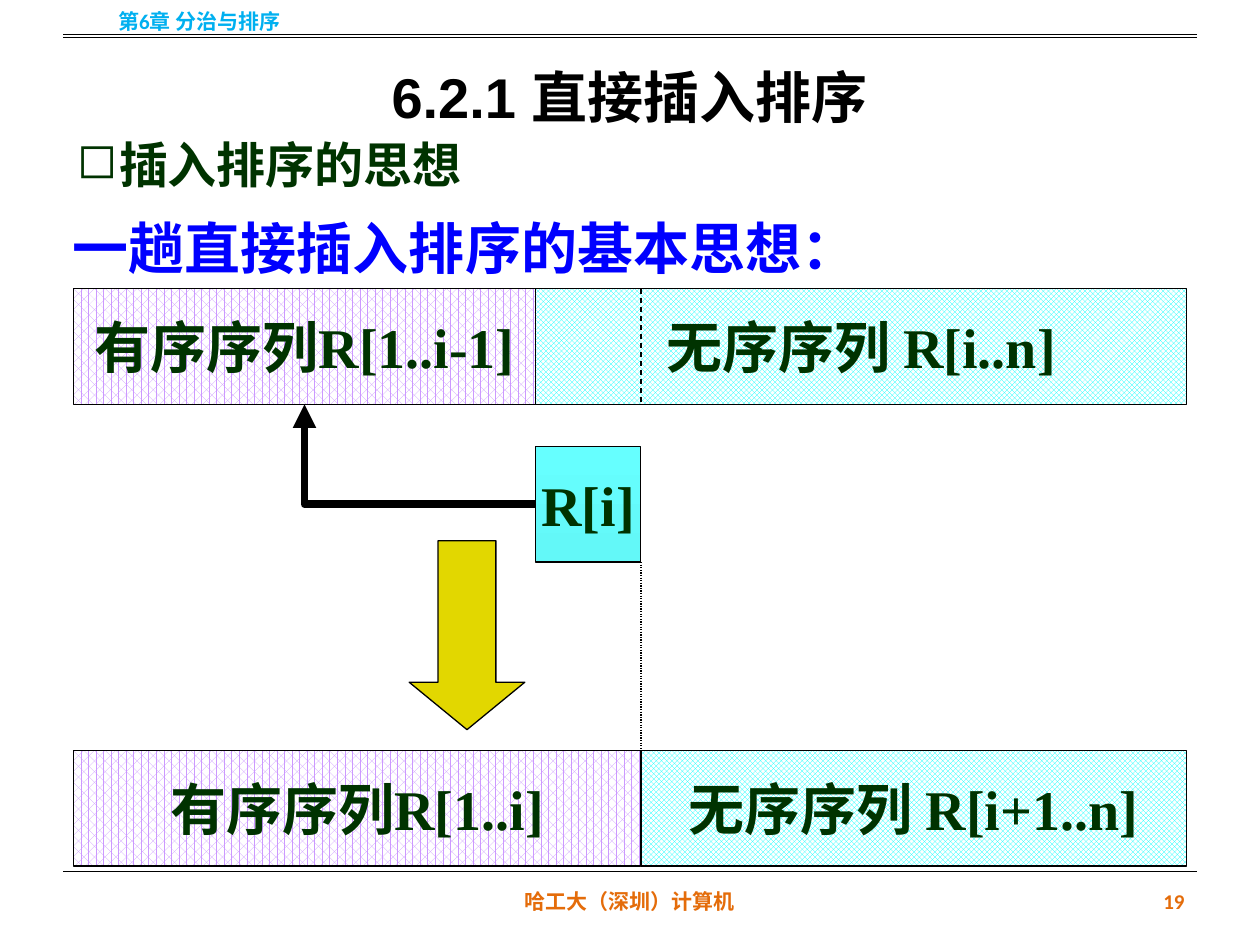
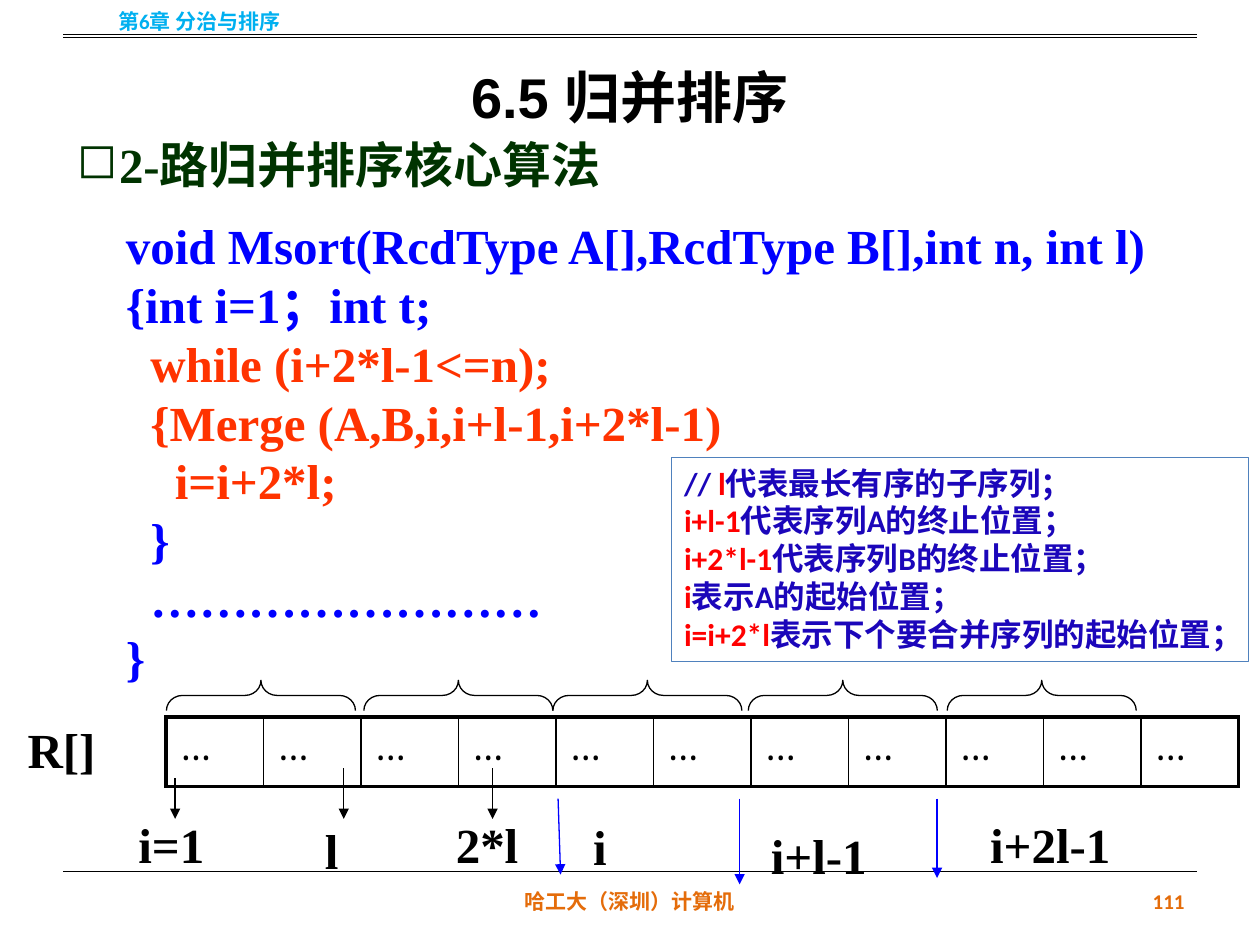
import lxml.etree
import pptx
import pptx.dml.color
import pptx.enum.dml
import pptx.enum.shapes
import pptx.enum.text
import pptx.oxml.ns
import pptx.util

Cm = pptx.util.Cm
Align = pptx.enum.text.PP_ALIGN
Anchor = pptx.enum.text.MSO_ANCHOR
Shape = pptx.enum.shapes.MSO_SHAPE
Connector = pptx.enum.shapes.MSO_CONNECTOR
Dash = pptx.enum.dml.MSO_LINE
Pattern = pptx.enum.dml.MSO_PATTERN
COLORS = {
    "black": "000000", "white": "FFFFFF", "footer": "E46C0A", "chapter": "00B0F0",
    "green": "003300", "blue": "0000FF", "orange": "FF3300", "red": "FF0000",
    "note": "1B06BA", "note_line": "4F81BD", "violet": "CC99FF", "cyan": "00FFFF",
    "item_top": "66FFFF", "item_bottom": "63F8F8", "arrow": "E2D700",
}
SERIF = "Times New Roman"


def rgb(name):
    """Return the named colour."""
    return pptx.dml.color.RGBColor.from_string(COLORS[name])


def add_xml(parent, tag, **attributes):
    """Append a drawing element with its attributes."""
    return lxml.etree.SubElement(parent, pptx.oxml.ns.qn(tag), attributes)


def write(frame, lines, size=28, font=SERIF, color="black", bold=True, align=Align.LEFT,
          anchor=Anchor.TOP, wrap=True, spacing=None, bullet=None):
    """Fill a text frame; each line is a string or a list of (text, colour) runs."""
    frame.word_wrap = wrap
    frame.vertical_anchor = anchor
    for index, line in enumerate([lines] if isinstance(lines, str) else lines):
        paragraph = frame.paragraphs[0] if index == 0 else frame.add_paragraph()
        if bullet:
            properties = paragraph._p.get_or_add_pPr()
            properties.set("marL", str(Cm(0.85)))
            properties.set("indent", str(-Cm(0.85)))
            add_xml(properties, "a:buChar", char=bullet)
        paragraph.alignment = align
        if spacing:
            paragraph.line_spacing = spacing
        for text, run_color in [(line, color)] if isinstance(line, str) else line:
            run = paragraph.add_run()
            run.text = text
            run.font.size = pptx.util.Pt(size)
            run.font.name = font
            run.font.bold = bold
            run.font.color.rgb = rgb(run_color)


def add_text(slide, box, lines, **text_format):
    """Add a text box at (left, top, width, height) in centimetres."""
    shape = slide.shapes.add_textbox(*map(Cm, box))
    write(shape.text_frame, lines, **text_format)


def add_outlined(slide, kind, box, line="black"):
    """Add an unfilled preset shape with a thin outline."""
    shape = slide.shapes.add_shape(kind, *map(Cm, box))
    shape.shadow.inherit = False
    shape.fill.background()
    shape.line.color.rgb = rgb(line)
    shape.line.width = pptx.util.Pt(0.75)
    return shape


def add_line(slide, start, end, color="black", width=0.75, dash=None, arrow=False,
             kind=Connector.STRAIGHT):
    """Draw a connector between two points in centimetres."""
    connector = slide.shapes.add_connector(kind, *map(Cm, (*start, *end)))
    connector.line.color.rgb = rgb(color)
    connector.line.width = pptx.util.Pt(width)
    if dash:
        connector.line.dash_style = dash
    if arrow:
        add_xml(connector.line._get_or_add_ln(), "a:tailEnd", type="triangle")
    add_xml(connector._element.spPr, "a:effectLst")
    return connector


def add_frame(presentation, title, topic, topic_width, number):
    """Add a slide with its title, topic, rules, chapter and footer."""
    slide = presentation.slides.add_slide(presentation.slide_layouts[6])
    add_text(slide, (1.27, 0, 22.86, 3.18), title, size=32, font="Arial",
             align=Align.CENTER, anchor=Anchor.MIDDLE, spacing=1.5)
    small = {"size": 12, "font": "Calibri", "anchor": Anchor.MIDDLE}
    add_text(slide, (8.68, 17.66, 8.04, 1.01), "哈工大（深圳）计算机",
             color="footer", align=Align.CENTER, **small)
    add_text(slide, (18.2, 17.66, 5.93, 1.01), number,
             color="footer", align=Align.RIGHT, **small)
    add_text(slide, (0, -0.08, 8.04, 1.01), "第6章 分治与排序",
             color="chapter", align=Align.CENTER, **small)
    for top in (0.69, 0.76, 17.57):
        add_line(slide, (1.27, top), (24.13, top))
    add_text(slide, (1.3, 2.59, topic_width, 1.45), topic, color="green", bullet="◻")
    return slide


def add_block(slide, box, text, pattern=None, color="white"):
    """Add a labelled sequence block, with a pattern if one is given."""
    block = add_outlined(slide, Shape.RECTANGLE, box)
    if pattern:
        block.fill.patterned()
        block.fill.pattern = pattern
        block.fill.fore_color.rgb = rgb(color)
        block.fill.back_color.rgb = rgb("white")
    write(block.text_frame, text, size=32, color="green", align=Align.CENTER,
          anchor=Anchor.MIDDLE, wrap=False)
    return block


def add_sequence(slide, box, sorted_width, sorted_text, unsorted_text):
    """Add a bar split into its sorted and unsorted parts."""
    left, top, width, height = box
    add_block(slide, (left, top, sorted_width, height), sorted_text,
              Pattern.PERCENT_60, "violet")
    add_block(slide, (left + sorted_width, top, width - sorted_width, height),
              unsorted_text, Pattern.TRELLIS, "cyan")


def add_insertion_diagram(slide, box):
    """Show one insertion pass between two bars."""
    left, top, width, height = box
    bar, sorted_width, item_width = 2.33, 9.32, 2.12
    split = left + sorted_width
    item_right = split + item_width
    item_top = top + 3.18
    last_top = top + height - bar
    add_sequence(slide, (left, top, width, bar), sorted_width,
                 "有序序列R[1..i-1]", "无序序列 R[i..n]")
    add_sequence(slide, (left, last_top, width, bar), sorted_width + item_width,
                 "有序序列R[1..i]", "无序序列 R[i+1..n]")

    item = add_block(slide, (split, item_top, item_width, bar), "R[i]")
    item.fill.gradient()
    item.fill.gradient_angle = 270
    for stop, color in zip(item.fill.gradient_stops, ("item_top", "item_bottom")):
        stop.color.rgb = rgb(color)

    move = add_line(slide, (split, item_top + bar / 2), (left + sorted_width / 2, top + bar),
                    width=4.5, arrow=True, kind=Connector.ELBOW)
    move._element.spPr.find(pptx.oxml.ns.qn("a:prstGeom")).set("prst", "bentConnector2")

    result = add_outlined(slide, Shape.DOWN_ARROW, (left + 6.77, top + 5.08, bar, 3.81))
    result.adjustments[1] = 0.41
    result.fill.solid()
    result.fill.fore_color.rgb = rgb("arrow")
    add_line(slide, (item_right, top), (item_right, top + bar), dash=Dash.DASH)
    add_line(slide, (item_right, item_top + bar), (item_right, last_top),
             dash=Dash.ROUND_DOT)


def add_border(cell, side, width):
    """Draw one black border of a table cell."""
    border = add_xml(cell._tc.get_or_add_tcPr(), "a:ln" + side,
                     w=str(pptx.util.Pt(width)))
    add_xml(add_xml(border, "a:solidFill"), "a:srgbClr", val=COLORS["black"])


def add_array_table(slide, box, count):
    """Add the one-row array with a heavy outer frame."""
    table = slide.shapes.add_table(1, count, *map(Cm, box)).table
    table.first_row = table.horz_banding = False
    for index, cell in enumerate(table.iter_cells()):
        table.columns[index].width = Cm(box[2] / count)
        write(cell.text_frame, "…", size=24, font="Cambria", bold=False)
        add_border(cell, "L", 2.25 if index == 0 else 1)
        add_border(cell, "R", 2.25 if index == count - 1 else 1)
        add_border(cell, "T", 2.25)
        add_border(cell, "B", 2.25)
        cell.fill.background()


def add_array_diagram(slide, box):
    """Show the array with its runs, pointers and labels."""
    left, top = box[:2]
    add_array_table(slide, box, 11)
    add_text(slide, (left - 3.05, top - 0.08, 1.88, 1.45), "R[]",
             align=Align.CENTER, wrap=False)
    brace_width, brace_length = 0.61, 3.81
    for center in (1.91, 5.89, 9.7, 13.64, 17.65):
        brace = add_outlined(slide, Shape.LEFT_BRACE,
                             (left + center - brace_width / 2,
                              top - 0.43 - brace_length / 2, brace_width, brace_length))
        brace.rotation = 90
        brace.adjustments[0] = 0.53
    pointers = [
        (0.18, 1.24, 0.18, 2.06, "black"), (3.58, 1.04, 3.58, 2.06, "black"),
        (6.58, 1.04, 6.58, 2.06, "black"), (7.9, 1.65, 7.95, 3.18, "blue"),
        (11.56, 1.65, 11.56, 3.38, "blue"), (15.54, 1.65, 15.54, 3.25, "blue"),
    ]
    for start_x, start_y, end_x, end_y, color in pointers:
        add_line(slide, (left + start_x, top + start_y), (left + end_x, top + end_y),
                 color=color, arrow=True)
    labels = [
        ("i=1", -0.81, 1.85, 2.36), ("l", 2.95, 1.96, 2.01), ("2*l", 5.59, 1.85, 2.79),
        ("i", 8.36, 1.88, 1.19), ("i+l-1", 11.94, 2.06, 3.4), ("i+2l-1", 16.36, 1.85, 3.99),
    ]
    for text, x, y, width in labels:
        add_text(slide, (left + x, top + y, width, 1.45), text)


def add_merge_code(slide, box):
    """Add the merge pass code."""
    add_text(slide, box, [
        "void Msort(RcdType A[],RcdType B[],int n, int l)",
        "{int i=1；int t;",
        [("  while (i+2*l-1<=n);", "orange")],
        [("  {Merge (A,B,i,i+l-1,i+2*l-1)", "orange")],
        [("    i=i+2*l;", "orange")],
        "  }",
        "  ……………………",
        "}",
    ], color="blue")


def add_code_note(slide, box):
    """Add the framed note that explains the index expressions."""
    terms = [
        ("l", "代表最长有序的子序列；"),
        ("i+l-1", "代表序列A的终止位置；"),
        ("i+2*l-1", "代表序列B的终止位置；"),
        ("i", "表示A的起始位置；"),
        ("i=i+2*l", "表示下个要合并序列的起始位置；"),
    ]
    lines = [[(term, "red"), (meaning, "note")] for term, meaning in terms]
    lines[0].insert(0, ("// ", "note"))
    note = add_outlined(slide, Shape.RECTANGLE, box, line="note_line")
    write(note.text_frame, lines, size=18, font="Calibri")


def main():
    """Build and save the presentation."""
    presentation = pptx.Presentation()
    presentation.slide_width = Cm(25.4)
    presentation.slide_height = Cm(19.05)

    insertion = add_frame(presentation, "6.2.1 直接插入排序", "插入排序的思想", 9.4, "19")
    add_text(insertion, (1.22, 4.17, 16.54, 1.63), "一趟直接插入排序的基本思想：",
             size=32, color="blue", wrap=False)
    add_insertion_diagram(insertion, (1.48, 5.82, 22.44, 11.64))

    merging = add_frame(presentation, "6.5 归并排序", "2-路归并排序核心算法", 15.01, "111")
    add_merge_code(merging, (2.29, 4.22, 21.62, 9.75))
    add_array_diagram(merging, (3.35, 14.45, 21.62, 1.4))
    add_code_note(merging, (13.54, 9.22, 11.63, 4.11))
    presentation.save("out.pptx")


if __name__ == "__main__":
    main()
